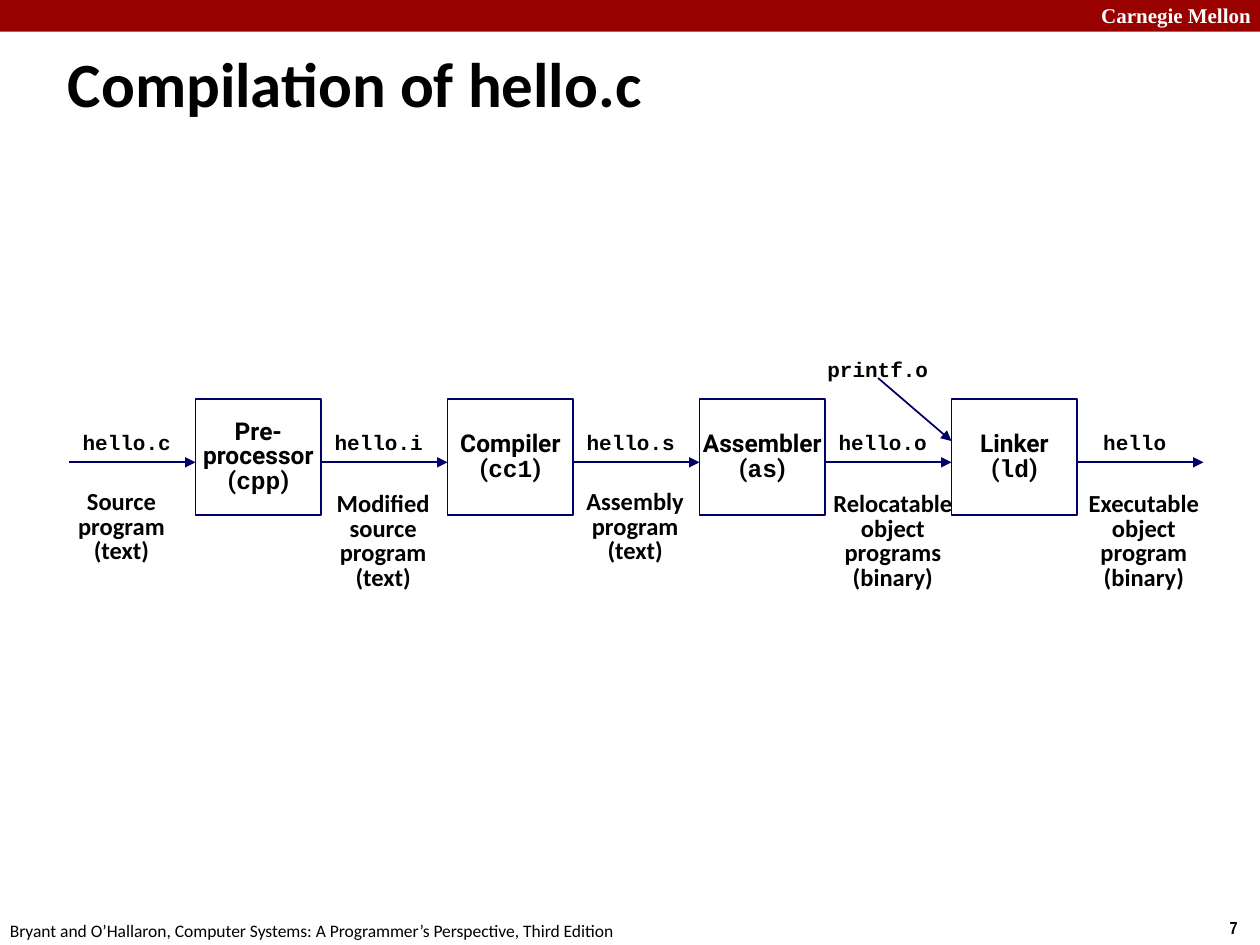
from dataclasses import dataclass

from lxml import etree
from pptx import Presentation
from pptx.dml.color import RGBColor
from pptx.enum.shapes import MSO_CONNECTOR, MSO_SHAPE
from pptx.enum.text import MSO_ANCHOR, MSO_AUTO_SIZE, PP_ALIGN
from pptx.oxml.ns import qn
from pptx.util import Cm, Pt

RECTANGLE = MSO_SHAPE.RECTANGLE
STRAIGHT = MSO_CONNECTOR.STRAIGHT
MIDDLE, TOP = MSO_ANCHOR.MIDDLE, MSO_ANCHOR.TOP
CENTER, LEFT = PP_ALIGN.CENTER, PP_ALIGN.LEFT
FIT_SHAPE, FIXED = MSO_AUTO_SIZE.SHAPE_TO_FIT_TEXT, MSO_AUTO_SIZE.NONE

BLACK, WHITE, NAVY, CRIMSON = "000000", "FFFFFF", "000066", "990000"
CODE_FONT, TOOL_FONT, BODY_FONT = "Courier New", "Roboto", "Calibri"
FLOW_LEFT, FLOW_Y, STEP, TOOL_WIDTH = 1.4, 9.32, 5.08, 2.54
TOOL_TOP, TOOL_HEIGHT = 8.05, 2.34
TIGHT, CODE_SPACING = 0.84, 0.95


@dataclass(frozen=True)
class Area:
    """Left, top, width and height in centimetres."""

    left: float
    top: float
    width: float
    height: float

    def lengths(self) -> tuple:
        """Return the four measures as lengths."""
        return Cm(self.left), Cm(self.top), Cm(self.width), Cm(self.height)


@dataclass(frozen=True)
class Style:
    """Look of the text in one box."""

    font: str
    size: float
    bold: bool = True
    color: str = BLACK
    align: PP_ALIGN = LEFT
    anchor: MSO_ANCHOR = TOP
    spacing: float = 1.0


@dataclass(frozen=True)
class ProgramForm:
    """A program file, its description and the area of that description."""

    file_name: str
    description: tuple[str, ...]
    area: Area


@dataclass(frozen=True)
class Tool:
    """A translation tool and the command that runs it."""

    title: tuple[str, ...]
    command: str


FILE_STYLE = Style(CODE_FONT, 12, align=CENTER, anchor=MIDDLE, spacing=CODE_SPACING)
DESCRIPTION_STYLE = Style(BODY_FONT, 14, align=CENTER, anchor=MIDDLE, spacing=TIGHT)
TOOL_STYLE = Style(TOOL_FONT, 14, align=CENTER, anchor=MIDDLE, spacing=TIGHT)

PROGRAM_FORMS = (
    ProgramForm("hello.c", ("Source", "program", "(text)"), Area(1.32, 9.75, 2.26, 1.78)),
    ProgramForm("hello.i", ("Modified", "source", "program", "(text)"), Area(6.53, 9.8, 2.39, 2.26)),
    ProgramForm("hello.s", ("Assembly", "program", "(text)"), Area(11.56, 9.75, 2.49, 1.78)),
    ProgramForm("hello.o", ("Relocatable", "object", "programs", "(binary)"), Area(16.54, 9.8, 2.92, 2.26)),
    ProgramForm("hello", ("Executable", "object", "program", "(binary)"), Area(21.69, 9.8, 2.74, 2.26)),
)
TOOLS = (
    Tool(("Pre-", "processor"), "cpp"),
    Tool(("Compiler",), "cc1"),
    Tool(("Assembler",), "as"),
    Tool(("Linker",), "ld"),
)


def rgb(color: str) -> RGBColor:
    """Turn a hex string into a colour."""
    return RGBColor.from_string(color)


def style_paragraph(paragraph, style: Style) -> None:
    """Apply a text style to a paragraph."""
    paragraph.alignment = style.align
    paragraph.line_spacing = style.spacing
    font = paragraph.font
    font.name, font.size, font.bold = style.font, Pt(style.size), style.bold
    font.color.rgb = rgb(style.color)


def write_lines(frame, lines: tuple[str, ...], style: Style) -> None:
    """Write one paragraph for each line of text."""
    frame.vertical_anchor = style.anchor
    frame.text = "\n".join(lines)
    for paragraph in frame.paragraphs:
        style_paragraph(paragraph, style)


def add_text(slide, area: Area, lines: tuple[str, ...], style: Style,
             wrap: bool = False, auto_size: MSO_AUTO_SIZE = FIT_SHAPE) -> None:
    """Add a text box."""
    frame = slide.shapes.add_textbox(*area.lengths()).text_frame
    frame.word_wrap, frame.auto_size = wrap, auto_size
    write_lines(frame, lines, style)


def add_tool(slide, left: float, tool: Tool) -> None:
    """Add an outlined box with a tool title and its command."""
    area = Area(left, TOOL_TOP, TOOL_WIDTH, TOOL_HEIGHT)
    box = slide.shapes.add_shape(RECTANGLE, *area.lengths())
    box.shadow.inherit = False
    box.fill.background()
    box.line.color.rgb, box.line.width = rgb(NAVY), Pt(1)
    frame = box.text_frame
    frame.word_wrap = False
    write_lines(frame, tool.title, TOOL_STYLE)
    command_line = frame.add_paragraph()
    for text, font_name in (("(", TOOL_FONT), (tool.command, CODE_FONT), (")", TOOL_FONT)):
        run = command_line.add_run()
        run.text, run.font.name = text, font_name
    style_paragraph(command_line, TOOL_STYLE)


def add_arrow(slide, start: tuple[float, float], end: tuple[float, float]) -> None:
    """Add a straight arrow between two points."""
    arrow = slide.shapes.add_connector(STRAIGHT, *map(Cm, start + end))
    arrow.line.color.rgb, arrow.line.width = rgb(NAVY), Pt(1)
    etree.SubElement(arrow.line._get_or_add_ln(), qn("a:tailEnd"), type="triangle")
    etree.SubElement(arrow._element.spPr, qn("a:effectLst"))


def add_frame(slide) -> None:
    """Add the header band, title, footer and slide number."""
    band = slide.shapes.add_shape(RECTANGLE, *Area(0, 0, 25.4, 0.64).lengths())
    band.shadow.inherit = False
    band.fill.solid()
    band.fill.fore_color.rgb = rgb(CRIMSON)
    band.line.fill.background()
    add_text(slide, Area(21.95, -0.08, 3.63, 0.76), ("Carnegie Mellon",),
             Style("Times New Roman", 12, color=WHITE), wrap=True)
    add_text(slide, Area(24.54, 18.36, 0.86, 0.69), ("7",), Style("Arial Narrow", 10))
    add_text(slide, Area(-0.05, 18.42, 12.9, 0.69),
             ("Bryant and O’Hallaron, Computer Systems: A Programmer’s Perspective, Third Edition",),
             Style(BODY_FONT, 10, bold=False))
    add_text(slide, Area(1.12, 0.69, 24.2, 2.18), ("Compilation of hello.c",),
             Style(BODY_FONT, 36, anchor=MIDDLE, spacing=TIGHT), wrap=True, auto_size=FIXED)


def add_pipeline(slide) -> None:
    """Add the tools and the program forms that flow between them."""
    for index, tool in enumerate(TOOLS):
        add_tool(slide, FLOW_LEFT + TOOL_WIDTH + index * STEP, tool)
    for index, form in enumerate(PROGRAM_FORMS):
        left = FLOW_LEFT + index * STEP
        add_arrow(slide, (left, FLOW_Y), (left + STEP - TOOL_WIDTH, FLOW_Y))
        add_text(slide, Area(left, 8.56, 2.31, 0.76), (form.file_name,), FILE_STYLE)
        add_text(slide, form.area, form.description, DESCRIPTION_STYLE)
    linker_left = FLOW_LEFT + TOOL_WIDTH + 3 * STEP
    add_arrow(slide, (17.7, 7.62), (linker_left, 8.89))
    add_text(slide, Area(16.41, 7.09, 2.57, 0.76), ("printf.o",), FILE_STYLE)


def main() -> None:
    """Build and save the slide."""
    presentation = Presentation()
    presentation.slide_width, presentation.slide_height = Cm(25.4), Cm(19.05)
    slide = presentation.slides.add_slide(presentation.slide_layouts[6])
    add_frame(slide)
    add_pipeline(slide)
    presentation.save("out.pptx")


if __name__ == "__main__":
    main()
